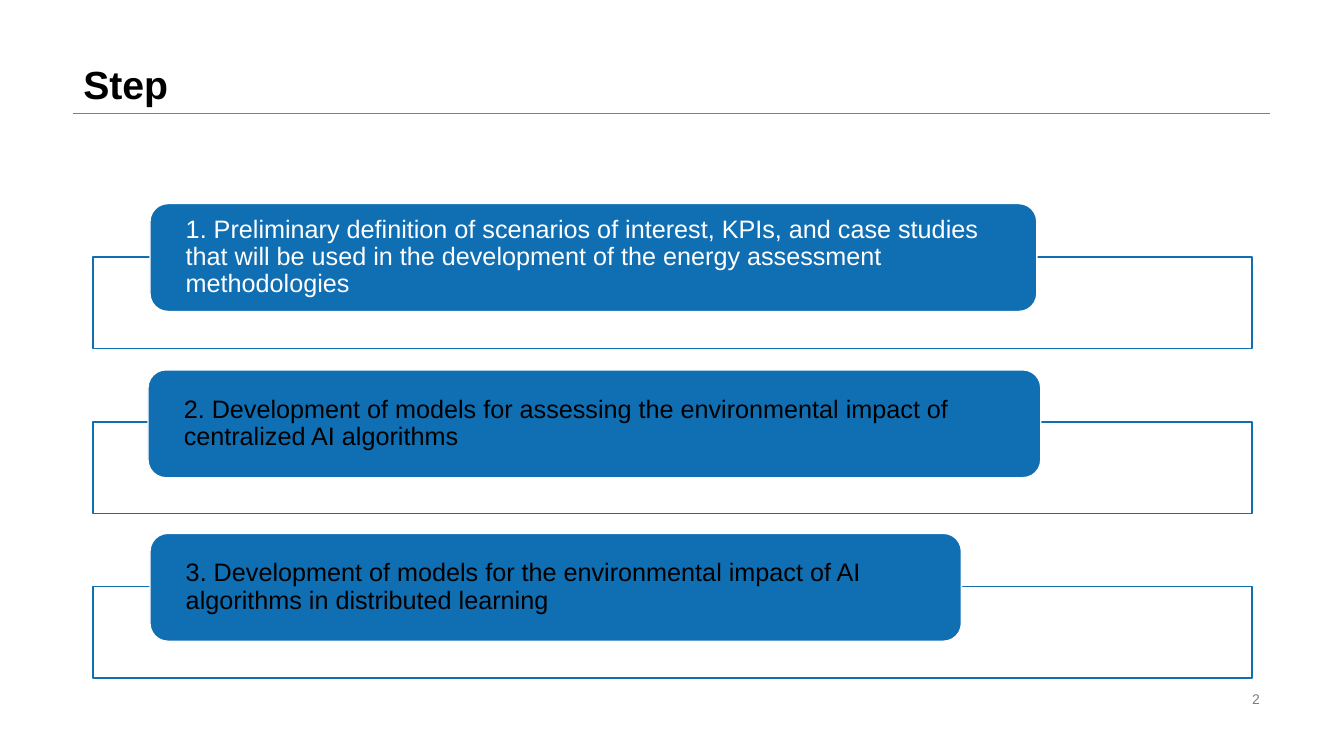
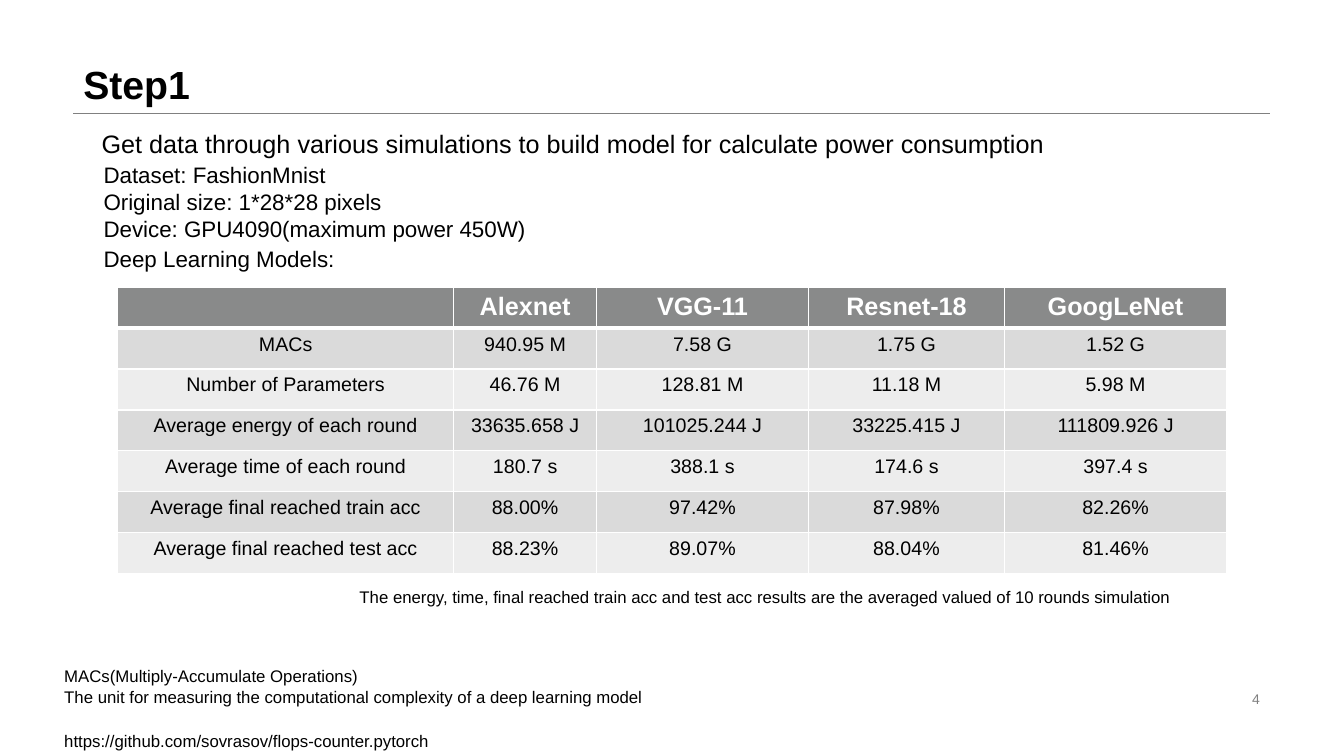
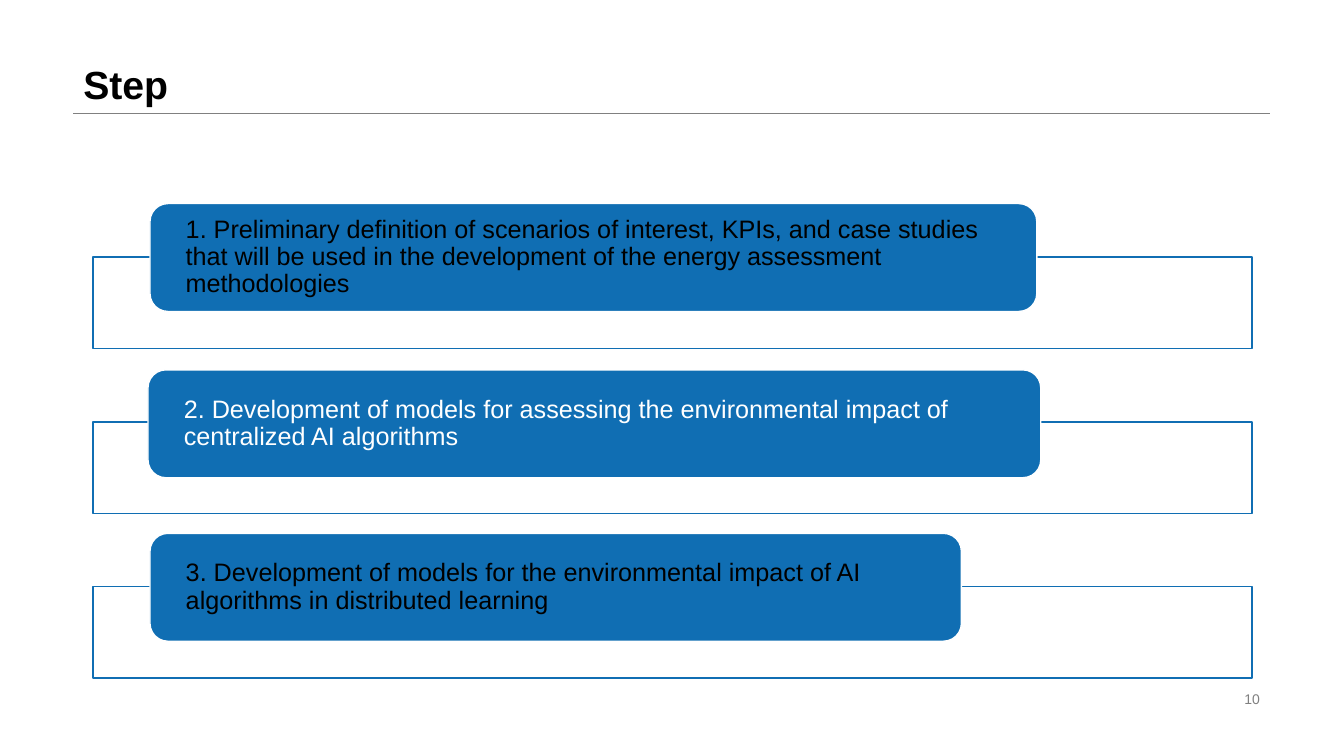
"""Builds three slides on energy assessment of AI training."""
from lxml.etree import SubElement
from pptx import Presentation
from pptx.dml.color import RGBColor
from pptx.enum.shapes import MSO_CONNECTOR, MSO_SHAPE
from pptx.enum.text import MSO_ANCHOR, PP_ALIGN
from pptx.oxml.ns import qn
from pptx.util import Cm, Pt

COLORS = {"text": "000000", "white": "FFFFFF", "blue": "106EB3", "gray": "808080",
          "header": "898A8A", "odd": "DADADA", "even": "EDEDED"}
FONT = "Arial"
LEFT, CONTENT_W, RULE_Y = 1.85, 30.15, 2.84

STEPS = [
    (3.78, 5.13, 22.35, "1. Preliminary definition of scenarios of interest, KPIs, and case studies "
     "that will be used in the development of the energy assessment methodologies"),
    (3.73, 9.32, 22.5, "2. Development of models for assessing the environmental impact of "
     "centralized AI algorithms"),
    (3.78, 13.44, 20.45, "3. Development of models for the environmental impact of AI "
     "algorithms in distributed learning"),
]
FRAME_TOP, FRAME_PITCH = 6.48, 4.15

NOTES = [
    (2.31, 3.12, 24.5, 1.02, 18,
     "Get data through various simulations to build model for calculate power consumption"),
    (2.36, 3.94, 11.18, 2.31, 16,
     "Dataset: FashionMnist\nOriginal size: 1*28*28 pixels\nDevice: GPU4090(maximum power 450W)"),
    (2.36, 6.05, 6.4, 0.94, 16, "Deep Learning Models:"),
    (8.81, 14.66, 21.13, 0.76, 12,
     "The energy, time, final reached train acc and test acc results are the averaged valued "
     "of 10 rounds simulation"),
    (1.37, 16.66, 15.32, 1.27, 12,
     "MACs(Multiply-Accumulate Operations)\n"
     "The unit for measuring the computational complexity of a deep learning model"),
    (1.37, 18.29, 10.52, 0.76, 12, "https://github.com/sovrasov/flops-counter.pytorch"),
]

RESULTS = [
    ["", "Alexnet", "VGG-11", "Resnet-18", "GoogLeNet"],
    ["MACs", "940.95 M", "7.58 G", "1.75 G", "1.52 G"],
    ["Number of Parameters", "46.76 M", "128.81 M", "11.18 M", "5.98 M"],
    ["Average energy of each round", "33635.658 J", "101025.244 J", "33225.415 J", "111809.926 J"],
    ["Average time of each round", "180.7 s", "388.1 s", "174.6 s", "397.4 s"],
    ["Average final reached train acc", "88.00%", "97.42%", "87.98%", "82.26%"],
    ["Average final reached test acc", "88.23%", "89.07%", "88.04%", "81.46%"],
]
COLUMN_WIDTHS = [8.46, 3.61, 5.33, 4.95, 5.59]


def rgb(name):
    return RGBColor.from_string(COLORS[name])


class Deck:
    def __init__(self):
        self.prs = Presentation()
        self.prs.slide_width, self.prs.slide_height = Cm(33.87), Cm(19.05)
        self.s = None

    def slide(self, title, number):
        self.s = self.prs.slides.add_slide(self.prs.slide_layouts[6])
        self.rule()
        self.text(LEFT, 0, CONTENT_W, RULE_Y, title, 28, bold=True,
                  anchor=MSO_ANCHOR.BOTTOM, spacing=0.9)
        self.text(23.92, 17.32, 8.08, 0.58, str(number), 10, "gray",
                  align=PP_ALIGN.RIGHT, anchor=MSO_ANCHOR.MIDDLE)

    def rule(self):
        line = self.s.shapes.add_connector(MSO_CONNECTOR.STRAIGHT, Cm(LEFT), Cm(RULE_Y),
                                           Cm(LEFT + CONTENT_W), Cm(RULE_Y))
        line.line.color.rgb = rgb("gray")
        line.line.width = Pt(0.25)
        SubElement(line._element.spPr, qn("a:effectLst"))

    def fill_text(self, tf, text, size, color="text", bold=False, align=PP_ALIGN.LEFT,
                  spacing=None):
        tf.text = text
        for p in tf.paragraphs:
            p.alignment = align
            p.line_spacing = spacing
            for font in [p.font] + [r.font for r in p.runs]:
                font.name, font.size, font.bold = FONT, Pt(size), bold
                font.color.rgb = rgb(color)

    def text(self, x, y, w, h, text, size, color="text", anchor=MSO_ANCHOR.TOP, **style):
        tf = self.s.shapes.add_textbox(Cm(x), Cm(y), Cm(w), Cm(h)).text_frame
        tf.word_wrap = True
        tf.vertical_anchor = anchor
        self.fill_text(tf, text, size, color, **style)

    def shape(self, kind, x, y, w, h, fill, line):
        sp = self.s.shapes.add_shape(kind, Cm(x), Cm(y), Cm(w), Cm(h))
        sp.shadow.inherit = False
        sp.fill.solid()
        sp.fill.fore_color.rgb = rgb(fill)
        sp.line.color.rgb = rgb(line)
        sp.line.width = Pt(1)
        return sp

    def steps(self, current):
        for i, (x, y, w, text) in enumerate(STEPS):
            self.shape(MSO_SHAPE.RECTANGLE, 2.34, FRAME_TOP + i * FRAME_PITCH, 29.21, 2.31,
                       "white", "blue")
            sp = self.shape(MSO_SHAPE.ROUNDED_RECTANGLE, x, y, w, 2.72, "blue", "white")
            tf = sp.text_frame
            tf.word_wrap = True
            tf.vertical_anchor = MSO_ANCHOR.MIDDLE
            tf.margin_left = tf.margin_right = Cm(0.77)
            tf.margin_top = tf.margin_bottom = 0
            self.fill_text(tf, text, 18, "white" if i == current else "text", spacing=0.9)

    def borders(self, cell, widths):
        tcPr = cell._tc.get_or_add_tcPr()
        for i, (edge, width) in enumerate(widths.items()):
            ln = tcPr.makeelement(qn("a:" + edge), {"w": str(Pt(width))})
            fill = SubElement(ln, qn("a:solidFill"))
            SubElement(fill, qn("a:srgbClr"), val=COLORS["white"])
            tcPr.insert(i, ln)

    def table(self, x, y, rows, widths, row_h):
        frame = self.s.shapes.add_table(len(rows), len(widths), Cm(x), Cm(y),
                                        Cm(sum(widths)), Cm(row_h * len(rows)))
        table = frame.table
        for column, width in zip(table.columns, widths):
            column.width = Cm(width)
        for i, row in enumerate(rows):
            table.rows[i].height = Cm(row_h)
            head = i == 0
            fill = "header" if head else ("odd" if i % 2 else "even")
            for j, value in enumerate(row):
                cell = table.cell(i, j)
                cell.fill.solid()
                cell.fill.fore_color.rgb = rgb(fill)
                self.fill_text(cell.text_frame, value, 18 if head else 14,
                               "white" if head else "text", bold=head, align=PP_ALIGN.CENTER)
                self.borders(cell, {"lnL": 1, "lnR": 1, "lnT": 3 if i == 1 else 1,
                                    "lnB": 3 if head else 1})


def main():
    deck = Deck()
    deck.slide("Step", 2)
    deck.steps(current=0)

    deck.slide("Step1", 4)
    deck.table(2.97, 7.24, RESULTS, COLUMN_WIDTHS, 1.03)
    for x, y, w, h, size, text in NOTES:
        deck.text(x, y, w, h, text, size)

    deck.slide("Step", 10)
    deck.steps(current=1)
    deck.prs.save("out.pptx")


if __name__ == "__main__":
    main()
